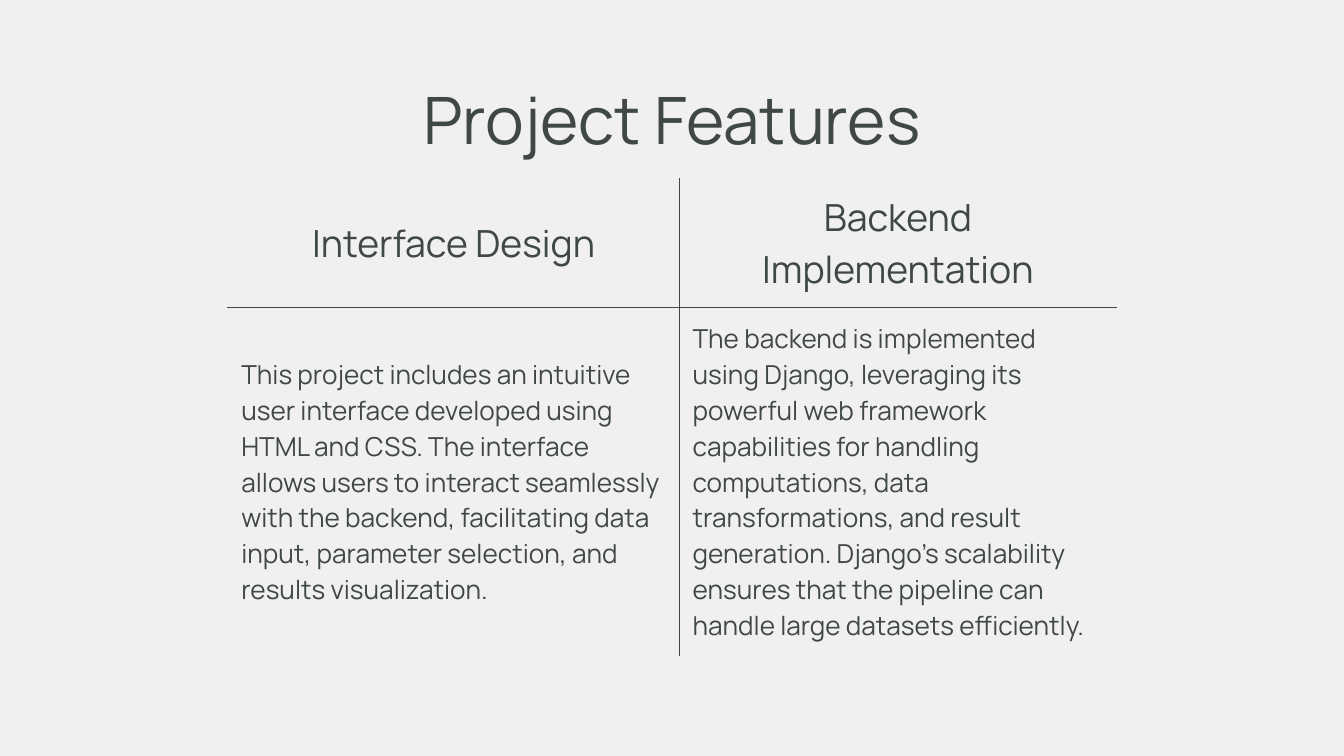
from lxml.etree import SubElement
from pptx import Presentation
from pptx.dml.color import RGBColor
from pptx.enum.text import MSO_ANCHOR as Anchor, MSO_AUTO_SIZE as AutoSize, PP_ALIGN as Align
from pptx.oxml.ns import qn
from pptx.util import Cm, Pt

COLORS = {"paper": "F0F0F0", "ink": "404844"}
INSETS = {f"margin_{side}": Cm(0.25) for side in ("left", "right", "top", "bottom")}


def write(frame, words, size, align):
    frame.text = words
    paragraph = frame.paragraphs[0]
    paragraph.alignment = align
    font = paragraph.runs[0].font
    for name, value in {"name": "Manrope", "size": Pt(size), "bold": False}.items():
        setattr(font, name, value)
    font.color.rgb = RGBColor.from_string(COLORS["ink"])


def border(cell, side, color):
    line = SubElement(cell._tc.get_or_add_tcPr(), qn(f"a:ln{side}"), w=str(Pt(0.75)))
    SubElement(SubElement(line, qn("a:solidFill")), qn("a:srgbClr"), val=color)


deck = Presentation()
deck.slide_width, deck.slide_height = Cm(25.4), Cm(14.29)
slide = deck.slides.add_slide(deck.slide_layouts[5])
slide.background.fill.solid()
slide.background.fill.fore_color.rgb = RGBColor.from_string(COLORS["paper"])

heading = slide.shapes.title
place = {"left": Cm(2), "top": Cm(1.24), "width": Cm(21.4), "height": Cm(1.6)}
for name, value in place.items():
    setattr(heading, name, value)
heading_format = {
    **INSETS,
    "vertical_anchor": Anchor.TOP,
    "auto_size": AutoSize.NONE,
    "word_wrap": True,
}
for name, value in heading_format.items():
    setattr(heading.text_frame, name, value)
write(heading.text_frame, "Project Features", 35, Align.CENTER)

feature_rows = [
    (["Interface Design", "Backend Implementation"], 20, Align.CENTER, Cm(1.9)),
    ([
        "This project includes an intuitive user interface developed using HTML and CSS. "
        "The interface allows users to interact seamlessly with the backend, facilitating "
        "data input, parameter selection, and results visualization.",
        "The backend is implemented using Django, leveraging its powerful web framework "
        "capabilities for handling computations, data transformations, and result "
        "generation. Django's scalability ensures that the pipeline can handle large "
        "datasets efficiently.",
    ], 14, Align.LEFT, Cm(3.73)),
]
features = slide.shapes.add_table(2, 2, Cm(4.31), Cm(3.38), Cm(16.79), Cm(5.63)).table
for name in ("first_row", "horz_banding"):
    setattr(features, name, False)
for column, width in zip(features.columns, (Cm(8.53), Cm(8.26))):
    column.width = width

for row, (texts, size, align, height) in enumerate(feature_rows):
    features.rows[row].height = height
    for col, words in enumerate(texts):
        cell = features.cell(row, col)
        for name, value in {**INSETS, "vertical_anchor": Anchor.MIDDLE}.items():
            setattr(cell, name, value)
        write(cell.text_frame, words, size, align)
        inner_sides = {"R" if col == 0 else "L", "B" if row == 0 else "T"}
        for side in "LRTB":
            border(cell, side, COLORS["ink" if side in inner_sides else "paper"])
        cell.fill.background()

deck.save("out.pptx")
